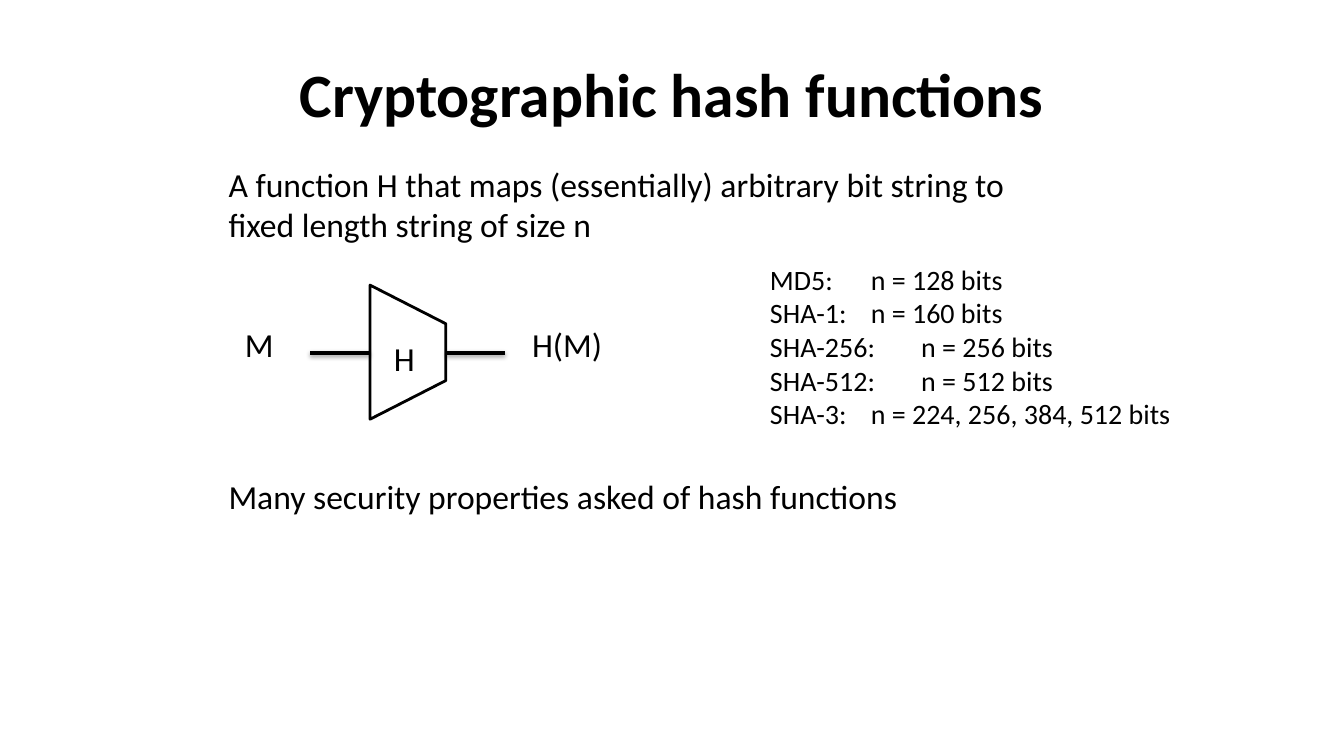
from lxml.etree import SubElement
from pptx import Presentation
from pptx.dml.color import RGBColor
from pptx.enum.shapes import MSO_CONNECTOR, MSO_SHAPE
from pptx.enum.text import MSO_ANCHOR, MSO_AUTO_SIZE, PP_ALIGN
from pptx.oxml.ns import qn
from pptx.util import Cm, Pt

BLACK = RGBColor(0x00, 0x00, 0x00)
WHITE = RGBColor(0xFF, 0xFF, 0xFF)


class SlideBuilder:
    font_name = "Calibri"

    def __init__(self, slide):
        self.slide = slide

    def fill_frame(self, frame, lines, size, bold=False, align=PP_ALIGN.LEFT):
        frame.auto_size = MSO_AUTO_SIZE.NONE
        for index, line in enumerate(lines):
            para = frame.add_paragraph() if index else frame.paragraphs[0]
            para.alignment = align
            para.space_before = Pt(0)
            span = para.add_run()
            span.text = line
            span.font.name = self.font_name
            span.font.size = Pt(size)
            span.font.bold = bold
            span.font.color.rgb = BLACK

    def place(self, shape, left, top, width, height):
        shape.left, shape.top = Cm(left), Cm(top)
        shape.width, shape.height = Cm(width), Cm(height)

    def title(self, text, *area):
        title = self.slide.shapes.title
        self.place(title, *area)
        title.text_frame.vertical_anchor = MSO_ANCHOR.MIDDLE
        self.fill_frame(title.text_frame, [text], 44, True, PP_ALIGN.CENTER)

    def two_column_list(self, rows, tab, *area):
        body = self.slide.placeholders[1]
        self.place(body, *area)
        frame = body.text_frame
        frame.word_wrap = False
        self.fill_frame(frame, ["\t".join(row) for row in rows], 20)
        for para in frame.paragraphs:
            properties = para._p.get_or_add_pPr()
            properties.set("marL", "0")
            properties.set("indent", "0")
            SubElement(properties, qn("a:buNone"))
            tabs = SubElement(properties, qn("a:tabLst"))
            SubElement(tabs, qn("a:tab"), pos=str(Cm(tab)), algn="l")

    def text(self, lines, left, top, width, height=1.27):
        box = self.slide.shapes.add_textbox(
            Cm(left), Cm(top), Cm(width), Cm(height))
        box.text_frame.word_wrap = False
        self.fill_frame(box.text_frame, lines, 24)

    def trapezoid(self, left, top, width, height):
        shape = self.slide.shapes.add_shape(
            MSO_SHAPE.TRAPEZOID, Cm(left), Cm(top), Cm(width), Cm(height))
        shape.rotation = 90
        shape.adjustments[0] = 0.51
        shape.shadow.inherit = False
        shape.fill.solid()
        shape.fill.fore_color.rgb = WHITE
        shape.line.color.rgb = BLACK
        shape.line.width = Pt(2)

    def wire(self, start, end, y):
        line = self.slide.shapes.add_connector(
            MSO_CONNECTOR.STRAIGHT, Cm(start), Cm(y), Cm(end), Cm(y))
        line.line.color.rgb = BLACK
        line.line.width = Pt(3)
        # Soft shadow below the line
        effects = SubElement(line._element.spPr, qn("a:effectLst"))
        shadow = SubElement(
            effects, qn("a:outerShdw"), blurRad=str(Pt(3.1)),
            dist=str(Pt(1.8)), dir="5400000", rotWithShape="0")
        color = SubElement(shadow, qn("a:srgbClr"), val=str(BLACK))
        SubElement(color, qn("a:alpha"), val="35000")


def main():
    deck = Presentation()
    deck.slide_width, deck.slide_height = Cm(33.87), Cm(19.05)
    page = SlideBuilder(deck.slides.add_slide(deck.slide_layouts[1]))

    # Title and definition
    page.title("Cryptographic hash functions", 1.7, 0.76, 30.48, 3.18)
    page.text(["A function H that maps (essentially) arbitrary bit string to",
               "fixed length string of size n"], 5.51, 4.01, 20.24, 2.31)

    # Hash diagram: M goes in, H(M) comes out
    page.trapezoid(8.59, 7.92, 3.38, 1.91)
    for start, end in ((9.32, 7.82), (12.73, 11.25)):
        page.wire(start, end, 8.89)
    page.text(["H"], 9.68, 8.38, 1.04)
    page.text(["M"], 5.92, 8.05, 1.24)
    page.text(["H(M)"], 13.16, 8.05, 2.29)

    # Output sizes
    sizes = (("MD5:", "128"), ("SHA-1:", "160"), ("SHA-256:", "256"),
             ("SHA-512:", "512"), ("SHA-3:", "224, 256, 384, 512"))
    rows = [(name, f"n = {bits} bits") for name, bits in sizes]
    page.two_column_list(rows, 2.97, 19.15, 6.48, 11.18, 4.52)

    # Closing statement
    page.text(["Many security properties asked of hash functions"],
              5.51, 11.86, 23.7)

    deck.save("out.pptx")


if __name__ == "__main__":
    main()
